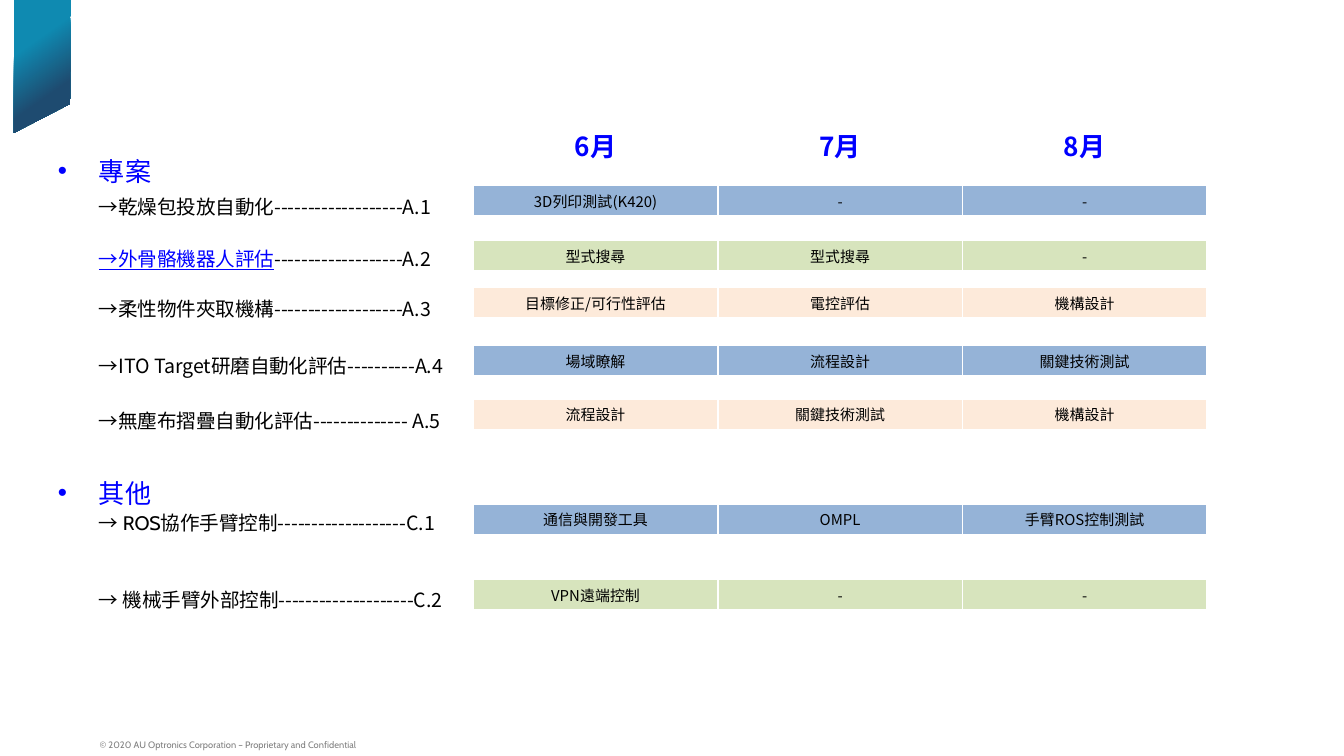
from dataclasses import dataclass

from lxml.etree import SubElement
from pptx import Presentation
from pptx.dml.color import RGBColor
from pptx.enum.text import MSO_ANCHOR, MSO_AUTO_SIZE, PP_ALIGN
from pptx.oxml.ns import qn
from pptx.util import Pt


@dataclass(frozen=True)
class Theme:
    font: str = "Noto Sans CJK SC"
    latin: str = "Cabin"
    accent: str = "0000FF"
    ink: str = "000000"
    muted: str = "808080"
    white: str = "FFFFFF"
    blue: str = "95B3D7"
    green: str = "D7E4BD"
    peach: str = "FDEADA"
    ribbon_light: str = "0F8AB1"
    ribbon_dark: str = "1E4B70"
    heading: float = 14
    item: float = 10.5
    cell: float = 8
    footer: float = 5


THEME = Theme()

# Content
MONTHS = ["6月", "7月", "8月"]
LINK = {"color": THEME.accent, "underline": True}
LATIN = {"name": THEME.latin}
HEADING = {"size": THEME.heading, "color": THEME.accent}

# Each line: spans of (text, format), space before, bullet
OUTLINE = [
    ([("專案", HEADING)], 0, True),
    ([("→乾燥包投放自動化-------------------A.1", {})], 4, False),
    ([("→外骨骼機器人評估", LINK), ("-------------------A.2", {})], 14.8, False),
    ([("→柔性物件夾取機構-------------------A.3", {})], 13.8, False),
    ([("→ITO Target研磨自動化評估----------A.4", {})], 17.5, False),
    ([("→無塵布摺疊自動化評估-------------- A.5", {})], 16.5, False),
    ([("其他", HEADING)], 27.9, True),
    ([("→ ", {}), ("ROS協作手臂控制", LATIN), ("-------------------C.1", {})], 0.7, False),
    ([("→ ", {}), ("機械手臂外部控制", LATIN), ("--------------------C.2", {})], 28.3, False),
]

# Each schedule bar: top, fill, text per month
SCHEDULE = [
    (99.4, THEME.blue, ["3D列印測試(K420)", "-", "-"]),
    (128.9, THEME.green, ["型式搜尋", "型式搜尋", "-"]),
    (154.1, THEME.peach, ["目標修正/可行性評估", "電控評估", "機構設計"]),
    (185, THEME.blue, ["場域瞭解", "流程設計", "關鍵技術測試"]),
    (213.8, THEME.peach, ["流程設計", "關鍵技術測試", "機構設計"]),
    (270, THEME.blue, ["通信與開發工具", "OMPL", "手臂ROS控制測試"]),
    (310.3, THEME.green, ["VPN遠端控制", "-", "-"]),
]
COPYRIGHT = "© 2020 AU Optronics Corporation – Proprietary and Confidential"

# Layout
RIBBON = [(7.5, 0), (38, 0), (37.5, 55.7), (7.5, 71.2)]
TABLE_LEFT, COLUMN_WIDTH = 253.6, 131
HEADER_TOP, HEADER_HEIGHT, BAR_HEIGHT = 64.1, 29.5, 16.3
LINE_HEIGHT, INDENT = 13, 22


def add_span(para, text, size=THEME.item, color=THEME.ink, name=THEME.font,
             bold=False, underline=False):
    span = para.add_run()
    span.text = text
    font = span.font
    font.size, font.name = Pt(size), name
    font.bold, font.underline = bold, underline
    font.color.rgb = RGBColor.from_string(color)
    SubElement(font._element, qn("a:ea"), typeface=THEME.font)


def set_bullet(para, bullet):
    properties = para._p.get_or_add_pPr()
    properties.set("marL", str(Pt(INDENT)))
    properties.set("indent", str(Pt(-INDENT if bullet else 0)))
    if bullet:
        color = SubElement(properties, qn("a:buClr"))
        SubElement(color, qn("a:srgbClr"), val=THEME.accent)
        SubElement(properties, qn("a:buFont"), typeface="Arial")
        SubElement(properties, qn("a:buChar"), char="•")
    else:
        SubElement(properties, qn("a:buNone"))


def set_insets(frame, horizontal, vertical):
    frame.margin_left = frame.margin_right = Pt(horizontal)
    frame.margin_top = frame.margin_bottom = Pt(vertical)


def add_row(page, top, height, texts, fill, anchor, inset, **text_format):
    table = page.shapes.add_table(
        1, len(texts), Pt(TABLE_LEFT), Pt(top),
        Pt(COLUMN_WIDTH * len(texts)), Pt(height)).table
    table.first_row = table.horz_banding = False
    for cell, text in zip(table.rows[0].cells, texts):
        cell.fill.solid()
        cell.fill.fore_color.rgb = RGBColor.from_string(fill)
        cell.vertical_anchor = anchor
        set_insets(cell, 7.2, inset)
        para = cell.text_frame.paragraphs[0]
        para.alignment = PP_ALIGN.CENTER
        add_span(para, text, **text_format)


def add_ribbon(page):
    builder = page.shapes.build_freeform(*(Pt(value) for value in RIBBON[0]))
    builder.add_line_segments([(Pt(x), Pt(y)) for x, y in RIBBON[1:]], close=True)
    ribbon = builder.convert_to_shape()
    ribbon.shadow.inherit = False
    ribbon.line.fill.background()
    ribbon.fill.gradient()
    ribbon.fill.gradient_angle = 305
    colors = [(0.32, THEME.ribbon_light), (0.7, THEME.ribbon_dark)]
    for stop, (position, color) in zip(ribbon.fill.gradient_stops, colors):
        stop.position = position
        stop.color.rgb = RGBColor.from_string(color)


def add_footer(page):
    box = page.shapes.add_textbox(Pt(47.5), Pt(392.4), Pt(270), Pt(13))
    frame = box.text_frame
    frame.word_wrap = True
    frame.vertical_anchor = MSO_ANCHOR.BOTTOM
    set_insets(frame, 5.8, 3.6)
    frame.paragraphs[0].line_spacing = 0.8
    add_span(frame.paragraphs[0], COPYRIGHT, size=THEME.footer,
             color=THEME.muted, name=THEME.latin)


def fill_outline(body):
    body.left, body.top, body.width, body.height = Pt(31), Pt(86.8), Pt(220), Pt(258)
    frame = body.text_frame
    frame.word_wrap = True
    frame.auto_size = MSO_AUTO_SIZE.NONE
    frame.vertical_anchor = MSO_ANCHOR.TOP
    set_insets(frame, 0, 0)
    for index, (spans, space, bullet) in enumerate(OUTLINE):
        para = frame.add_paragraph() if index else frame.paragraphs[0]
        set_bullet(para, bullet)
        para.alignment = PP_ALIGN.LEFT
        para.line_spacing = Pt(LINE_HEIGHT)
        para.space_before, para.space_after = Pt(space), Pt(0)
        for text, text_format in spans:
            add_span(para, text, **text_format)


def main():
    deck = Presentation()
    deck.slide_width, deck.slide_height = Pt(720), Pt(405)
    page = deck.slides.add_slide(deck.slide_layouts[1])
    title = page.shapes.title._element
    title.getparent().remove(title)

    # Ribbon, footer and outline
    add_ribbon(page)
    add_footer(page)
    fill_outline(page.placeholders[1])

    # Month header and schedule bars
    add_row(page, HEADER_TOP, HEADER_HEIGHT, MONTHS, THEME.white, MSO_ANCHOR.TOP, 3.6,
            size=THEME.heading, color=THEME.accent, bold=True)
    for top, fill, texts in SCHEDULE:
        add_row(page, top, BAR_HEIGHT, texts, fill, MSO_ANCHOR.MIDDLE, 2, size=THEME.cell)

    deck.save("out.pptx")


if __name__ == "__main__":
    main()
